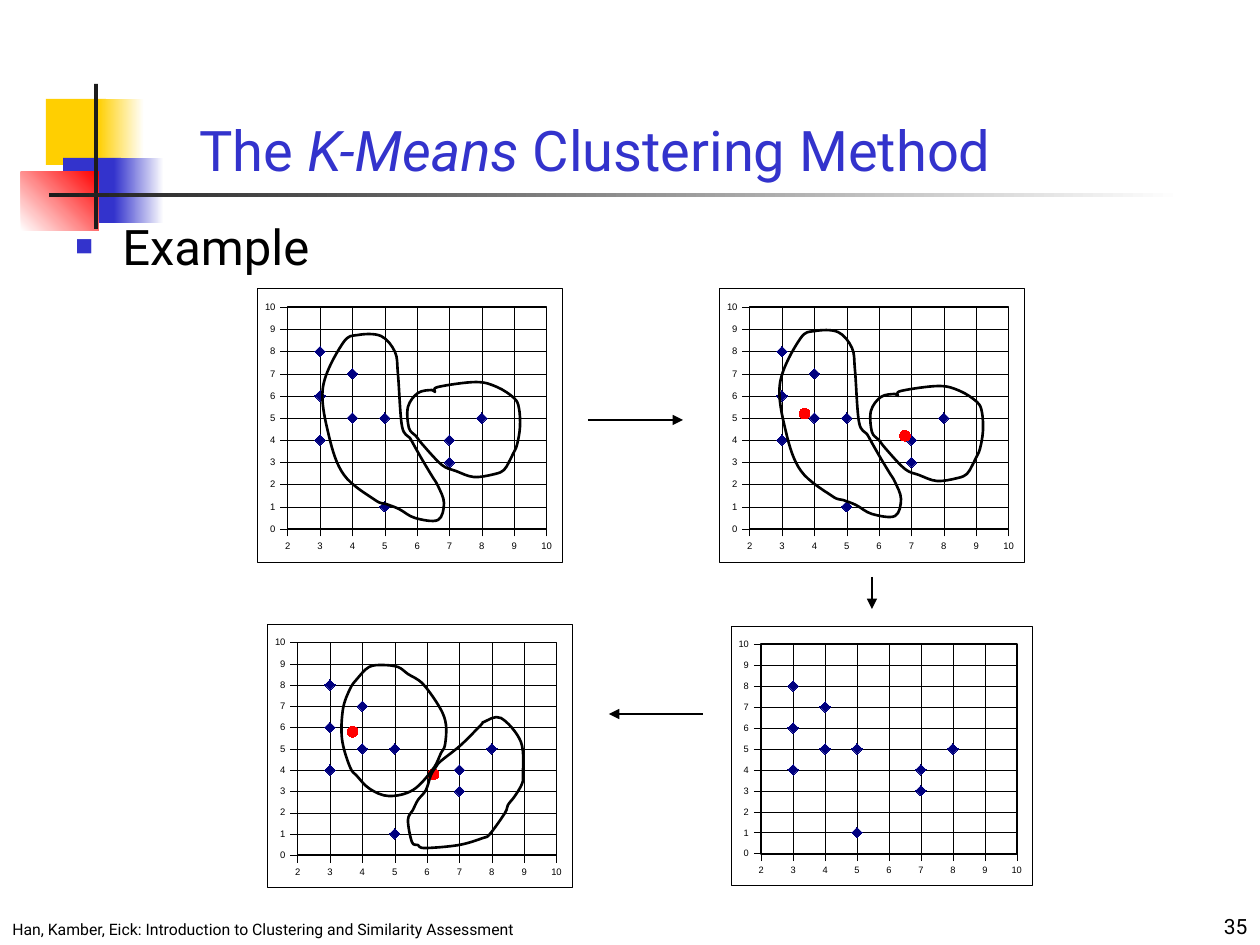
from lxml import etree
from pptx import Presentation
from pptx import util as u
from pptx.chart.data import XyChartData
from pptx.dml.color import RGBColor
from pptx.enum import chart as ch, shapes, text
from pptx.oxml import parse_xml
from pptx.oxml.ns import nsdecls, qn

SCALE = 914400 / 126
BLACK = RGBColor(0, 0, 0)
WHITE = RGBColor(255, 255, 255)
YELLOW = RGBColor(0xFF, 0xCF, 0x01)
BLUE = RGBColor(0x33, 0x33, 0xCC)
RED = RGBColor(255, 0, 0)
DARK = RGBColor(0x1C, 0x1C, 0x1C)
NAVY = RGBColor(0, 0, 0x80)

POINTS = [(3, 4), (3, 6), (7, 3), (4, 7), (3, 8), (8, 5), (4, 5), (5, 1), (7, 4), (5, 5)]
TALL = [(398, 374), (395, 352), (381, 336), (358, 335), (343, 343), (323, 387), (329, 436),
        (344, 475), (375, 500), (386, 504), (399, 509), (415, 518), (438, 520), (444, 503),
        (438, 486), (432, 476), (423, 461), (415, 447), (410, 438), (402, 426)]
ROUND = [(435, 392), (432, 390), (418, 393), (408, 407), (409, 428), (416, 436), (423, 445),
         (442, 465), (456, 471), (474, 477), (495, 474), (504, 470), (509, 462), (513, 454),
         (517, 445), (520, 427), (519, 408), (514, 398), (497, 387), (476, 382), (438, 387)]
OVAL = [(369, 667), (357, 679), (350, 689), (343, 709), (342, 739), (350, 767), (357, 776),
        (370, 789), (389, 796), (413, 790), (433, 769), (441, 753), (445, 745), (446, 725),
        (440, 708), (423, 684), (408, 674), (398, 667), (383, 665)]
SLANTED = [(481, 725), (461, 745), (441, 761), (436, 767), (431, 775), (426, 790), (418, 800),
           (413, 810), (408, 820), (412, 842), (418, 845), (425, 848), (459, 845), (483, 838),
           (490, 834), (505, 813), (508, 805), (515, 796), (522, 784), (523, 775), (521, 742),
           (501, 718), (484, 722)]


def px(n):
    return u.Emu(round(n * SCALE))


def box(at):
    return [px(n) for n in at]


def add_block(s, at, color, end=None, angle=0):
    sp = s.shapes.add_shape(shapes.MSO_SHAPE.RECTANGLE, *box(at))
    sp.shadow.inherit = False
    sp.line.fill.background()
    if end is None:
        sp.fill.solid()
        sp.fill.fore_color.rgb = color
        return
    sp.fill.gradient()
    sp.fill.gradient_angle = angle
    for stop, rgb, position in zip(sp.fill.gradient_stops, (color, end), (0, 1)):
        stop.color.rgb = rgb
        stop.position = position


def add_text(s, at, runs, size, color=BLACK, align=None, **frame):
    tf = s.shapes.add_textbox(*box(at)).text_frame
    for name, value in {"word_wrap": True, **frame}.items():
        setattr(tf, name, value)
    p = tf.paragraphs[0]
    p.alignment = align
    for words, italic in runs:
        r = p.add_run()
        r.text = words
        for name, value in {"name": "Roboto", "size": u.Pt(size), "italic": italic}.items():
            setattr(r.font, name, value)
        r.font.color.rgb = color
    return p


def add_bullet(p):
    pPr = p._p.get_or_add_pPr()
    pPr.set("marL", str(px(47)))
    pPr.set("indent", str(-px(47)))
    before = etree.SubElement(pPr, qn("a:spcBef"))
    etree.SubElement(before, qn("a:spcPct"), val="20000")
    color = etree.SubElement(pPr, qn("a:buClr"))
    etree.SubElement(color, qn("a:srgbClr"), val=str(BLUE))
    etree.SubElement(pPr, qn("a:buSzPct"), val="60000")
    etree.SubElement(pPr, qn("a:buFont"), typeface="Arial")
    etree.SubElement(pPr, qn("a:buChar"), char="■")


def set_line(line, width, color=BLACK):
    line.color.rgb = color
    line.width = u.Pt(width)


def chart_area(width):
    return parse_xml(
        f'<c:spPr {nsdecls("c", "a")}><a:solidFill><a:srgbClr val="{WHITE}"/></a:solidFill>'
        f'<a:ln w="{u.Pt(width)}"><a:solidFill><a:srgbClr val="{BLACK}"/></a:solidFill></a:ln></c:spPr>')


def set_layout(plot_area, at):
    for old in plot_area.findall(qn("c:layout")):
        plot_area.remove(old)
    layout = etree.Element(qn("c:layout"))
    manual = etree.SubElement(layout, qn("c:manualLayout"))
    values = [("layoutTarget", "inner"), ("xMode", "edge"), ("yMode", "edge"), *zip("xywh", at)]
    for name, value in values:
        etree.SubElement(manual, qn(f"c:{name}"), val=str(value))
    plot_area.insert(0, layout)


def style_axis(axis, low):
    values = {"minimum_scale": low, "maximum_scale": 10, "major_unit": 1,
              "has_major_gridlines": True, "has_minor_gridlines": False,
              "major_tick_mark": ch.XL_TICK_MARK.OUTSIDE,
              "minor_tick_mark": ch.XL_TICK_MARK.NONE,
              "tick_label_position": ch.XL_TICK_LABEL_POSITION.LOW}
    for name, value in values.items():
        setattr(axis, name, value)
    axis.tick_labels.number_format = "0"
    axis.tick_labels.number_format_is_linked = False
    set_line(axis.format.line, 0.17)
    set_line(axis.major_gridlines.format.line, 0.17)


def style_marker(marker, style, color):
    marker.style = style
    marker.size = 6
    marker.format.fill.solid()
    marker.format.fill.fore_color.rgb = color
    set_line(marker.format.line, 0.5, color)


def add_scatter(s, at, centroids=(), size=5.4):
    data = XyChartData()
    series = data.add_series("Series 1")
    for x, y in [*POINTS, *centroids]:
        series.add_data_point(x, y)
    chart = s.shapes.add_chart(ch.XL_CHART_TYPE.XY_SCATTER, *box(at), data).chart
    chart.has_legend = False
    chart.has_title = False
    chart.font.name = "Arial"
    chart.font.size = u.Pt(size)
    chart.font.color.rgb = BLACK
    style_axis(chart.category_axis, 2)
    style_axis(chart.value_axis, 0)
    plot = chart.plots[0]
    plot.vary_by_categories = False
    drawn = plot.series[0]
    drawn.smooth = False
    drawn.format.line.fill.background()
    style_marker(drawn.marker, ch.XL_MARKER_STYLE.DIAMOND, NAVY)
    for i in range(len(POINTS), len(POINTS) + len(centroids)):
        style_marker(drawn.points[i].marker, ch.XL_MARKER_STYLE.CIRCLE, RED)
    space = chart._chartSpace
    space.find(qn("c:txPr")).addprevious(chart_area(0.17))
    plot_area = space.chart.plotArea
    set_layout(plot_area, (0.1, 0.07, 0.85, 0.81))
    plot_area.append(chart_area(1))


def round_corners(sp, points):
    n = len(points)
    for i, segment in enumerate(list(sp._element.iter(qn("a:lnTo")))):
        a, b, c, d = (points[(i + k) % n] for k in (-1, 0, 1, 2))
        leave = [q + (r - p) / 6 for p, q, r in zip(a, b, c)]
        arrive = [q - (r - p) / 6 for p, q, r in zip(b, c, d)]
        curve = etree.Element(qn("a:cubicBezTo"))
        for x, y in (leave, arrive, c):
            etree.SubElement(curve, qn("a:pt"), x=str(round(x)), y=str(round(y)))
        segment.getparent().replace(segment, curve)


def add_outline(s, anchors, dx=0, dy=0):
    points = [(px(x + dx), px(y + dy)) for x, y in anchors]
    builder = s.shapes.build_freeform(*points[0])
    builder.add_line_segments([*points[1:], points[0]], close=True)
    sp = builder.convert_to_shape()
    round_corners(sp, [(x - sp.left, y - sp.top) for x, y in points])
    sp.shadow.inherit = False
    sp.fill.background()
    set_line(sp.line, 1.5)


def add_arrow(s, ends):
    c = s.shapes.add_connector(shapes.MSO_CONNECTOR.STRAIGHT, *box(ends))
    set_line(c.line, 0.75)
    etree.SubElement(c.line._get_or_add_ln(), qn("a:tailEnd"), type="triangle")
    etree.SubElement(c._element.spPr, qn("a:effectLst"))


def main():
    prs = Presentation()
    prs.slide_width, prs.slide_height = px(1260), px(945)
    s = prs.slides.add_slide(prs.slide_layouts[6])

    add_block(s, (46, 99, 60, 66), YELLOW)
    add_block(s, (98, 99, 46, 66), YELLOW, WHITE)
    add_block(s, (63, 158, 58, 65), BLUE)
    add_block(s, (114, 158, 50, 65), BLUE, WHITE)
    add_block(s, (21, 172, 78, 59), WHITE, RED, 45)
    add_block(s, (94, 84, 4, 145), DARK)
    add_block(s, (49, 193, 1134, 4), DARK, WHITE)

    bottom = text.MSO_ANCHOR.BOTTOM
    add_text(s, (0, 914, 527, 31),
             [("Han, Kamber, Eick: Introduction to Clustering and Similarity Assessment", False)],
             9, word_wrap=False)
    add_text(s, (998, 892, 262, 53), [("35", False)], 12,
             align=text.PP_ALIGN.RIGHT, vertical_anchor=bottom)
    add_text(s, (187, 110, 1005, 79),
             [("The ", False), ("K-Means", True), (" Clustering Method", False)],
             32, BLUE, vertical_anchor=bottom)
    add_bullet(add_text(s, (63, 210, 1124, 693), [("Example", False)], 28))

    add_scatter(s, (257, 288, 305, 274))
    add_outline(s, TALL)
    add_outline(s, ROUND)
    add_scatter(s, (719, 288, 305, 274), [(3.7, 5.2), (6.8, 4.2)])
    add_outline(s, TALL, 457, -4)
    add_outline(s, ROUND, 463, 4)
    add_arrow(s, (588, 420, 683, 420))
    add_scatter(s, (731, 626, 301, 259), size=5.3)
    add_arrow(s, (872, 577, 872, 609))
    add_scatter(s, (267, 624, 305, 263), [(3.7, 5.8), (6.2, 3.8)])
    add_outline(s, OVAL)
    add_outline(s, SLANTED)
    add_arrow(s, (703, 714, 609, 714))

    prs.save("out.pptx")


if __name__ == "__main__":
    main()
